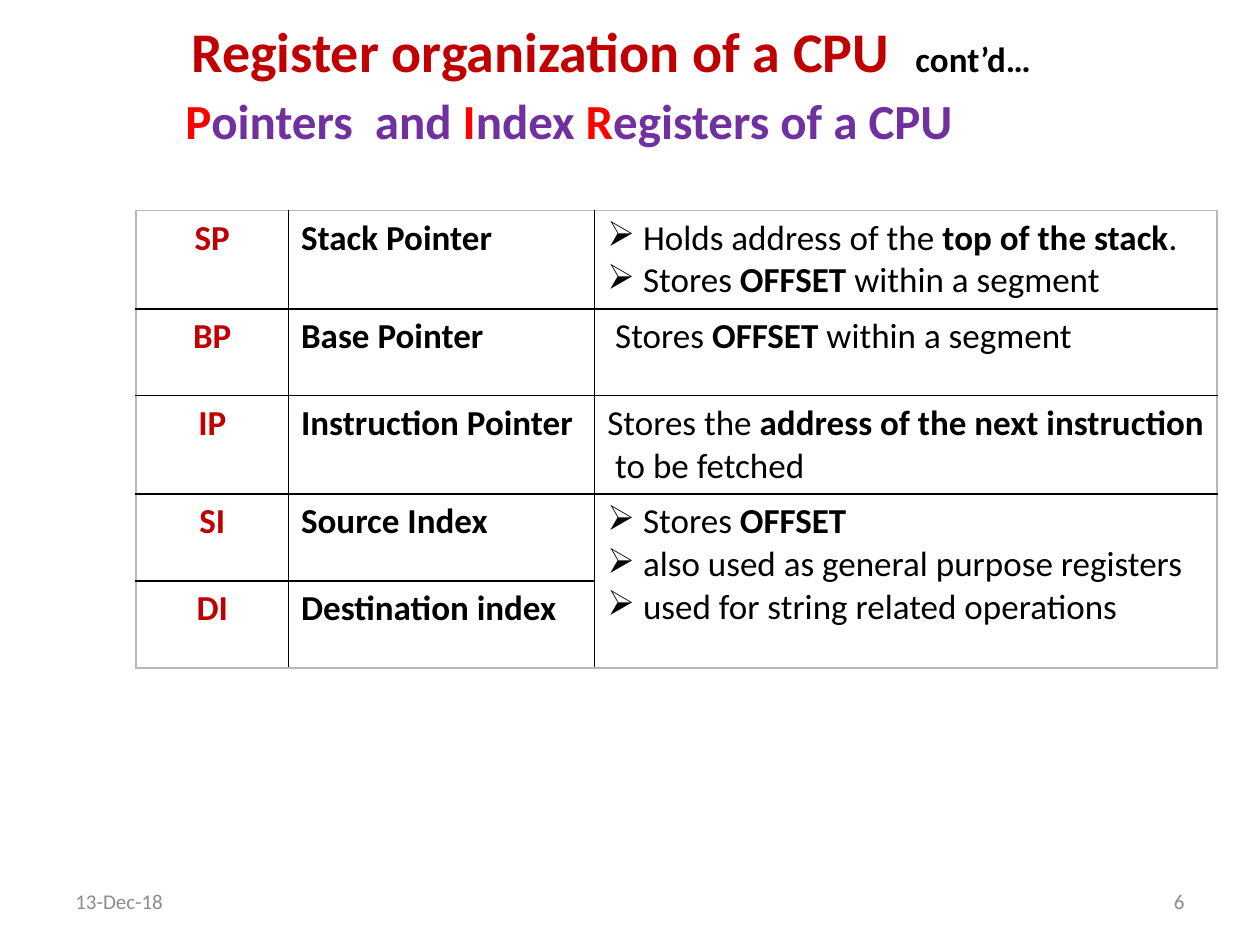
from dataclasses import dataclass

from lxml.etree import SubElement
from pptx import Presentation
from pptx.dml.color import RGBColor
from pptx.enum.text import MSO_ANCHOR as Anchor, MSO_AUTO_SIZE as AutoSize, PP_ALIGN as Align
from pptx.oxml.ns import qn
from pptx.util import Inches, Pt

COLORS = {
    "black": "000000",
    "grey": "8C8C8C",
    "frame": "B8B8B8",
    "title": "C00000",
    "initial": "FF0000",
    "subtitle": "7030A0",
}
FONT_NAME = "Calibri"
BULLET = "➢"
COLUMN_WIDTHS = (1.21, 2.43, 4.94)
ROW_HEIGHT = 0.69


@dataclass(frozen=True)
class Run:
    text: str
    color: str = "black"
    size: float = 20
    bold: bool = False


@dataclass(frozen=True)
class Line:
    runs: tuple[Run, ...]
    align: Align = Align.LEFT
    bullet: bool = False


@dataclass(frozen=True)
class Label:
    left: float
    top: float
    width: float
    height: float
    line: Line
    anchor: Anchor = Anchor.MIDDLE
    wrap: bool = True


@dataclass(frozen=True)
class Register:
    code: str
    name: str
    notes: tuple[Line, ...] = ()
    row_span: int = 1


def note(*texts: str, bullet: bool = False) -> Line:
    """Alternate plain and bold runs, starting with plain."""
    runs = tuple(Run(text, bold=index % 2 == 1) for index, text in enumerate(texts))
    return Line(runs, bullet=bullet)


def subtitle_run(text: str, color: str = "subtitle") -> Run:
    return Run(text, color, 28, True)


LABELS = (
    Label(0.5, 6.95, 2.33, 0.4, Line((Run("13-Dec-18", "grey", 12),))),
    Label(7.17, 6.95, 2.33, 0.4, Line((Run("6", "grey", 12),), Align.RIGHT)),
    Label(1.42, 0.67, 6.19, 0.57, Line((
        subtitle_run("P", "initial"),
        subtitle_run("ointers  and "),
        subtitle_run("I", "initial"),
        subtitle_run("ndex "),
        subtitle_run("R", "initial"),
        subtitle_run("egisters of a CPU"),
    ), Align.CENTER), wrap=False),
    Label(1.42, 0.08, 6.95, 0.64, Line((
        Run("Register organization of a CPU  ", "title", 32, True),
        Run("cont’d…", bold=True),
    )), Anchor.TOP),
)

REGISTERS = (
    Register("SP", "Stack Pointer", (
        note(" Holds address of the ", "top of the stack", ".", bullet=True),
        note(" Stores ", "OFFSET", " within a segment", bullet=True),
    )),
    Register("BP", "Base Pointer", (note(" Stores ", "OFFSET", " within a segment"),)),
    Register("IP", "Instruction Pointer", (
        note("Stores the", " address of the next instruction  ", "to be fetched"),
    )),
    Register("SI", "Source Index", (
        note(" Stores ", "OFFSET", bullet=True),
        note(" also used as general purpose registers", bullet=True),
        note(" used for string related operations", bullet=True),
    ), row_span=2),
    Register("DI", "Destination index"),
)


def write_lines(text_frame, lines: tuple[Line, ...]) -> None:
    for index, line in enumerate(lines):
        paragraph = text_frame.add_paragraph() if index else text_frame.paragraphs[0]
        paragraph.alignment = line.align
        if line.bullet:
            properties = paragraph._p.get_or_add_pPr()
            SubElement(properties, qn("a:buChar"), char=BULLET)
        for item in line.runs:
            run = paragraph.add_run()
            run.text = item.text
            formats = {"name": FONT_NAME, "size": Pt(item.size), "bold": item.bold}
            for attribute, value in formats.items():
                setattr(run.font, attribute, value)
            run.font.color.rgb = RGBColor.from_string(COLORS[item.color])


def add_label(slide, label: Label) -> None:
    box = slide.shapes.add_textbox(
        Inches(label.left), Inches(label.top), Inches(label.width), Inches(label.height)
    )
    formats = {
        "word_wrap": label.wrap,
        "auto_size": AutoSize.NONE,
        "vertical_anchor": label.anchor,
    }
    for attribute, value in formats.items():
        setattr(box.text_frame, attribute, value)
    write_lines(box.text_frame, (label.line,))


def set_borders(cell, outer_sides: dict[str, bool]) -> None:
    """Draw all four borders, in the frame colour on the table's outer sides."""
    properties = cell._tc.get_or_add_tcPr()
    for side, is_outer in outer_sides.items():
        border = SubElement(properties, qn(f"a:ln{side}"), w=str(Pt(1)))
        fill = SubElement(border, qn("a:solidFill"))
        SubElement(fill, qn("a:srgbClr"), val=COLORS["frame" if is_outer else "black"])


def add_register_table(slide, left: float, top: float) -> None:
    row_count, column_count = len(REGISTERS), len(COLUMN_WIDTHS)
    table = slide.shapes.add_table(
        row_count, column_count, Inches(left), Inches(top),
        Inches(sum(COLUMN_WIDTHS)), Inches(ROW_HEIGHT * row_count),
    ).table
    table.first_row = table.horz_banding = False
    for column, width in zip(table.columns, COLUMN_WIDTHS):
        column.width = Inches(width)

    for row, register in enumerate(REGISTERS):
        table.rows[row].height = Inches(ROW_HEIGHT)
        contents = (
            (Line((Run(register.code, "title", bold=True),), Align.CENTER),),
            (Line((Run(register.name, bold=True),)),),
            register.notes,
        )
        for column, lines in enumerate(contents):
            cell = table.cell(row, column)
            is_notes = column == column_count - 1
            last_row = row + (register.row_span if is_notes else 1) - 1
            write_lines(cell.text_frame, lines)
            set_borders(cell, {
                "L": column == 0,
                "R": is_notes,
                "T": row == 0,
                "B": last_row == row_count - 1,
            })
            cell.fill.background()
        if register.row_span > 1:
            last_cell = table.cell(row + register.row_span - 1, column_count - 1)
            table.cell(row, column_count - 1).merge(last_cell)


def main() -> None:
    presentation = Presentation()
    presentation.slide_width = Inches(10)
    presentation.slide_height = Inches(7.5)
    slide = presentation.slides.add_slide(presentation.slide_layouts[6])
    for label in LABELS:
        add_label(slide, label)
    add_register_table(slide, 1.08, 1.67)
    presentation.save("out.pptx")


if __name__ == "__main__":
    main()
